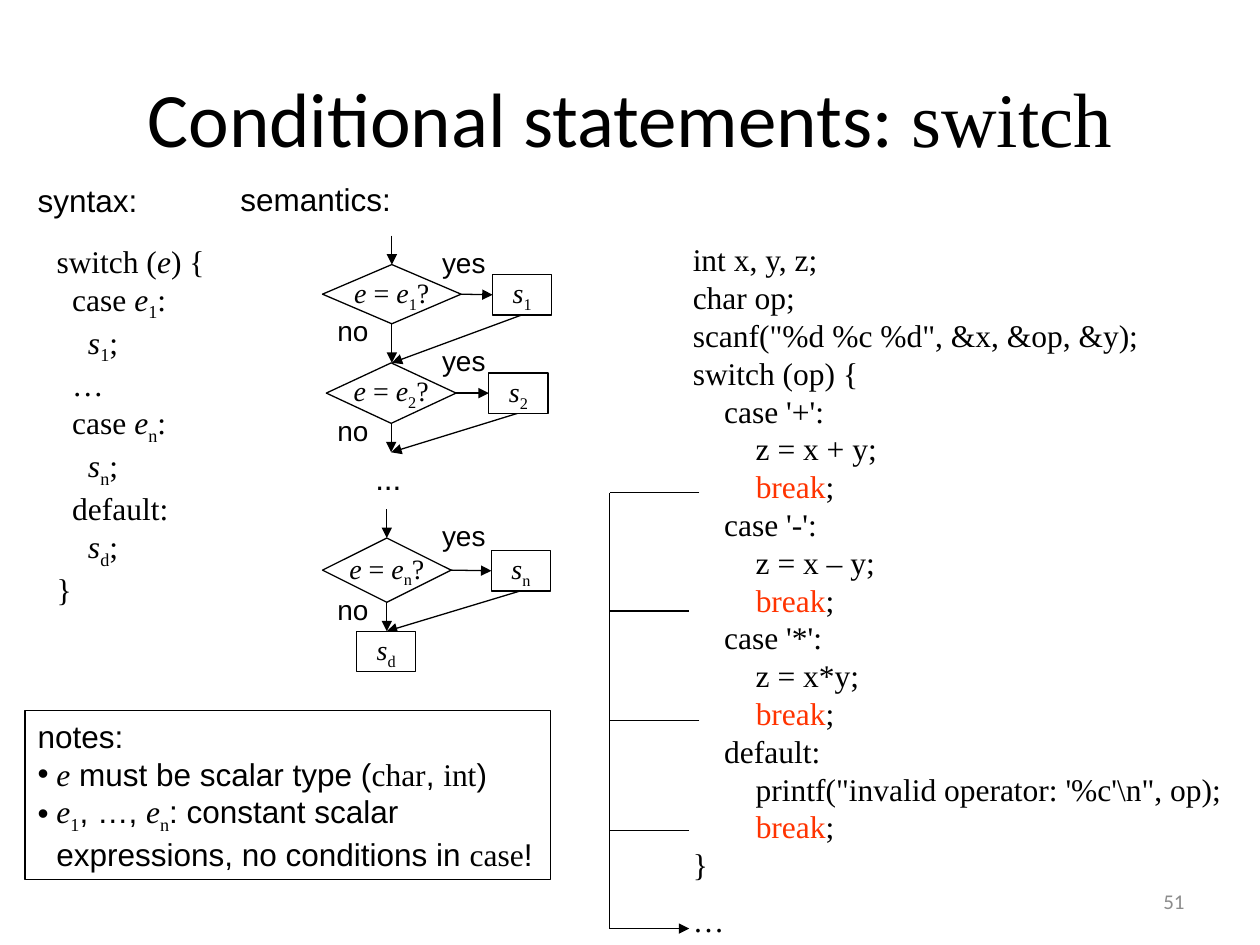
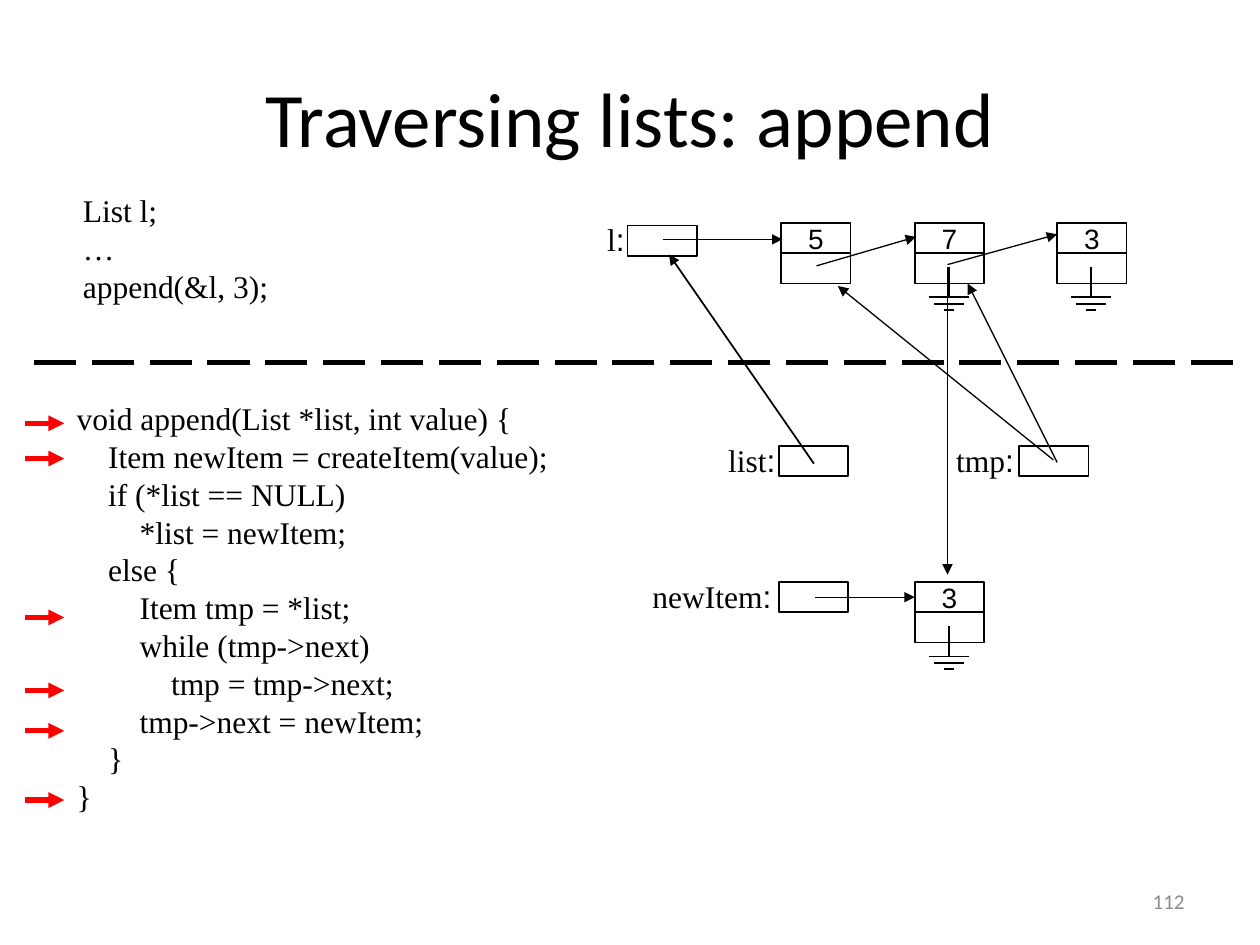
"""Builds two C lecture slides: the switch statement and appending to a linked list."""
from lxml.etree import SubElement
from pptx import Presentation
from pptx.dml.color import RGBColor
from pptx.enum.dml import MSO_LINE
from pptx.enum.shapes import MSO_CONNECTOR, MSO_SHAPE
from pptx.enum.text import MSO_ANCHOR, PP_ALIGN
from pptx.oxml.ns import qn
from pptx.util import Inches, Pt

THEME = {
    "black": RGBColor(0, 0, 0),
    "white": RGBColor(255, 255, 255),
    "red": RGBColor(255, 0, 0),
    "orange": RGBColor(0xFF, 0x33, 0x00),
    "grey": RGBColor(0x8C, 0x8C, 0x8C),
    "title": 44,
    "body": 18,
    "label": 16,
    "footer": 12,
    "thin": 0.75,
    "medium": 1,
    "thick": 3,
}
STYLES = {
    "heading": ("Calibri", "black"),
    "footer": ("Calibri", "grey"),
    "sans": ("Arial", "black"),
    "code": ("Times New Roman", "black"),
    "var": ("Times New Roman", "black"),
    "sub": ("Times New Roman", "black"),
    "key": ("Times New Roman", "orange"),
}


def put_text(sp, paras, size="body", align=PP_ALIGN.LEFT, anchor=MSO_ANCHOR.TOP, wrap=False):
    """Fill a shape with paragraphs, each a code line or a list of (text, style) runs."""
    tf = sp.text_frame
    tf.word_wrap = wrap
    tf.vertical_anchor = anchor
    for i, runs in enumerate(paras):
        p = tf.paragraphs[0] if i == 0 else tf.add_paragraph()
        p.alignment = align
        for text, style in [(runs, "code")] if isinstance(runs, str) else runs:
            r = p.add_run()
            r.text = text
            font, color = STYLES[style]
            r.font.name = font
            r.font.size = Pt(THEME[size])
            r.font.color.rgb = THEME[color]
            r.font.italic = style == "var"
            if style == "sub":
                r.font._element.set("baseline", "-25000")
    return tf


def add_line(s, x1, y1, x2, y2, width="thin", color="black", arrow=False, dash=None):
    """Draw a straight line or arrow between two points given in inches."""
    ln = s.shapes.add_connector(MSO_CONNECTOR.STRAIGHT, *map(Inches, (x1, y1, x2, y2)))
    ln.line.width = Pt(THEME[width])
    ln.line.color.rgb = THEME[color]
    if dash:
        ln.line.dash_style = dash
    sppr = ln._element.spPr
    if arrow:
        SubElement(sppr.find(qn("a:ln")), qn("a:tailEnd"), type="triangle")
    SubElement(sppr, qn("a:effectLst"))


prs = Presentation()
prs.slide_width, prs.slide_height = Inches(10), Inches(7.5)
slides = []
for title, number in (
    ([("Conditional statements: ", "heading"), ("switch", "code")], "51"),
    ([("Traversing lists: append", "heading")], "112"),
):
    s = prs.slides.add_slide(prs.slide_layouts[5])
    sp = s.shapes.title
    sp.left, sp.top, sp.width, sp.height = map(Inches, (0.5, 0.3, 9, 1.25))
    put_text(sp, [title], "title", PP_ALIGN.CENTER, MSO_ANCHOR.MIDDLE, True)
    sp = s.shapes.add_textbox(*map(Inches, (7.17, 6.95, 2.33, 0.4)))
    put_text(sp, [[(number, "footer")]], "footer", PP_ALIGN.RIGHT, MSO_ANCHOR.MIDDLE, True)
    slides.append(s)
switch_slide, list_slide = slides

s = switch_slide
break_line = [("        ", "code"), ("break", "key"), (";", "code")]
program = [
    "int x, y, z;",
    "char op;",
    'scanf("%d %c %d", &x, &op, &y);',
    "switch (op) {",
    "    case '+':",
    "        z = x + y;",
    break_line,
    "    case '-':",
    "        z = x – y;",
    break_line,
    "    case '*':",
    "        z = x*y;",
    break_line,
    "    default:",
    "        printf(\"invalid operator: '%c'\\n\", op);",
    break_line,
    "}",
    "…",
]
syntax = [
    [("switch (", "code"), ("e", "var"), (") {", "code")],
    [("  case ", "code"), ("e", "var"), ("1", "sub"), (":", "code")],
    [("    s", "var"), ("1", "sub"), (";", "code")],
    "  …",
    [("  case ", "code"), ("e", "var"), ("n", "sub"), (":", "code")],
    [("    s", "var"), ("n", "sub"), (";", "code")],
    "  default:",
    [("    s", "var"), ("d", "sub"), (";", "code")],
    "}",
]
notes = [
    [("notes:", "sans")],
    [("e", "var"), (" must be scalar type (", "sans"), ("char", "code"), (", ", "sans"),
     ("int", "code"), (")", "sans")],
    [("e", "var"), ("1", "sub"), (", …, ", "sans"), ("e", "var"), ("n", "sub"),
     (": constant scalar expressions, no conditions in ", "sans"), ("case", "code"),
     ("!", "sans")],
]
sp = s.shapes.add_textbox(*map(Inches, (5.4, 1.86, 4.4, 5.66)))
tf = put_text(sp, program)
tf.paragraphs[-1].space_before = Pt(10)

for x, y, w, h, paras in (
    (0.2, 1.39, 0.99, 0.4, [[("syntax:", "sans")]]),
    (0.35, 1.87, 1.38, 2.8, syntax),
    (1.81, 1.38, 1.4, 0.4, [[("semantics:", "sans")]]),
    (2.88, 3.59, 0.45, 0.4, [[("...", "sans")]]),
):
    put_text(s.shapes.add_textbox(*map(Inches, (x, y, w, h))), paras)

sp = s.shapes.add_shape(MSO_SHAPE.RECTANGLE, *map(Inches, (0.2, 5.64, 4.17, 1.34)))
sp.shadow.inherit = False
sp.fill.background()
sp.line.color.rgb = THEME["black"]
sp.line.width = Pt(THEME["medium"])
tf = put_text(sp, notes, wrap=True)
for p in tf.paragraphs[1:]:
    ppr = p._p.get_or_add_pPr()
    ppr.set("marL", str(Inches(0.15)))
    ppr.set("indent", str(-Inches(0.15)))
    SubElement(ppr, qn("a:buFont"), typeface="Arial")
    SubElement(ppr, qn("a:buChar"), char="•")

flow_shapes = [(MSO_SHAPE.FLOWCHART_PROCESS, 2.83, 5.01, 0.47, 0.32, [("s", "var"), ("d", "sub")])]
for index, x, y, w, h, step_x, step_y, next_y in (
    ("1", 2.56, 2.1, 1.1, 0.47, 3.91, 2.18, 2.88),
    ("2", 2.59, 2.88, 1.03, 0.48, 3.88, 2.96, 3.59),
    ("n", 2.56, 4.27, 1.02, 0.51, 3.9, 4.37, 5.01),
):
    test = [("e ", "var"), ("= ", "code"), ("e", "var"), (index, "sub"), ("?", "code")]
    flow_shapes += [
        (MSO_SHAPE.FLOWCHART_DECISION, x, y, w, h, test),
        (MSO_SHAPE.FLOWCHART_PROCESS, step_x, step_y, 0.47, 0.32, [("s", "var"), (index, "sub")]),
    ]
    for answer, left, top, width in (("no", 2.58, y + h - 0.13, 0.45), ("yes", 3.41, y - 0.2, 0.55)):
        sp = s.shapes.add_textbox(*map(Inches, (left, top, width, 0.37)))
        put_text(sp, [[(answer, "sans")]], "label")
    mid = x + w / 2
    add_line(s, x + w, y + h / 2, step_x, step_y + 0.16, arrow=True)
    add_line(s, mid, y + h, mid, next_y, arrow=True)
    add_line(s, step_x + 0.23, step_y + 0.32, mid, next_y, arrow=True)
    if index != "2":
        add_line(s, mid, y - 0.23, mid, y, arrow=True)

for kind, x, y, w, h, runs in flow_shapes:
    sp = s.shapes.add_shape(kind, *map(Inches, (x, y, w, h)))
    sp.shadow.inherit = False
    sp.fill.solid()
    sp.fill.fore_color.rgb = THEME["white"]
    sp.line.color.rgb = THEME["black"]
    sp.line.width = Pt(THEME["thin"])
    put_text(sp, [runs], "label", PP_ALIGN.CENTER, MSO_ANCHOR.MIDDLE)

rail_x, exit_y = 4.84, 7.37
for x, y in ((5.55, 3.91), (5.47, 4.85), (5.55, 5.72), (5.47, 6.59)):
    add_line(s, x, y, rail_x, y)
add_line(s, rail_x, 3.91, rail_x, exit_y)
add_line(s, rail_x, exit_y, 5.47, exit_y, arrow=True)

s = list_slide
append_code = [
    "void append(List *list, int value) {",
    "    Item newItem = createItem(value);",
    "    if (*list == NULL)",
    "        *list = newItem;",
    "    else {",
    "        Item tmp = *list;",
    "        while (tmp->next)",
    "            tmp = tmp->next;",
    "        tmp->next = newItem;",
    "    }",
    "}",
]
call_code = ["List l;", "…", "append(&l, 3);"]
put_text(s.shapes.add_textbox(*map(Inches, (0.51, 3.12, 3.95, 3.4))), append_code)
put_text(s.shapes.add_textbox(*map(Inches, (0.56, 1.47, 1.67, 1))), call_code)
add_line(s, 0.27, 2.88, 9.88, 2.88, "thick", dash=MSO_LINE.LONG_DASH)
for y in (3.36, 3.64, 4.9, 5.48, 5.8, 6.35):
    add_line(s, 0.2, y, 0.51, y, "thick", "red", arrow=True)

cell_w, cell_h = 0.55, 0.24
nodes = (("5", 6.2, 1.77), ("7", 7.26, 1.77), ("3", 8.39, 1.77), ("3", 7.26, 4.62))
pointers = (("l", 4.98, 1.79, 4.72, 0.34), ("list", 6.18, 3.54, 5.68, 0.58),
            ("tmp", 8.09, 3.54, 7.49, 0.66), ("newItem", 6.18, 4.62, 5.08, 1.15))
cells = [(x, y, value) for value, x, y in nodes]
cells += [(x, y + cell_h, "") for value, x, y in nodes]
cells += [(x, y, "") for name, x, y, label_x, label_w in pointers]
for x, y, value in cells:
    sp = s.shapes.add_shape(MSO_SHAPE.RECTANGLE, *map(Inches, (x, y, cell_w, cell_h)))
    sp.shadow.inherit = False
    sp.fill.solid()
    sp.fill.fore_color.rgb = THEME["white"]
    sp.line.color.rgb = THEME["black"]
    sp.line.width = Pt(THEME["medium"])
    if value:
        put_text(sp, [[(value, "sans")]], "label", PP_ALIGN.CENTER, MSO_ANCHOR.MIDDLE)

for name, x, y, label_x, label_w in pointers:
    sp = s.shapes.add_textbox(*map(Inches, (label_x, y - 0.09, label_w, 0.4)))
    put_text(sp, [[(name, "code"), (":", "sans")]])

for value, x, y in nodes[1:]:
    mid, top = x + 0.27, y + 0.35
    add_line(s, mid, top, mid, top + 0.24, "medium")
    for half, drop in ((0.16, 0.24), (0.12, 0.29), (0.04, 0.34)):
        add_line(s, mid - half, top + drop, mid + half, top + drop, "medium")

for x1, y1, x2, y2, width in (
    (5.26, 1.9, 6.21, 1.9, "medium"),
    (6.46, 3.68, 5.31, 2.02, "medium"),
    (6.48, 2.11, 7.27, 1.88, "thin"),
    (7.52, 2.1, 8.39, 1.86, "thin"),
    (8.36, 3.65, 6.65, 2.27, "thin"),
    (8.39, 3.67, 7.68, 2.25, "thin"),
    (6.47, 4.74, 7.26, 4.74, "thin"),
    (7.52, 2.12, 7.52, 4.56, "thin"),
):
    add_line(s, x1, y1, x2, y2, width, arrow=True)

prs.save("out.pptx")
